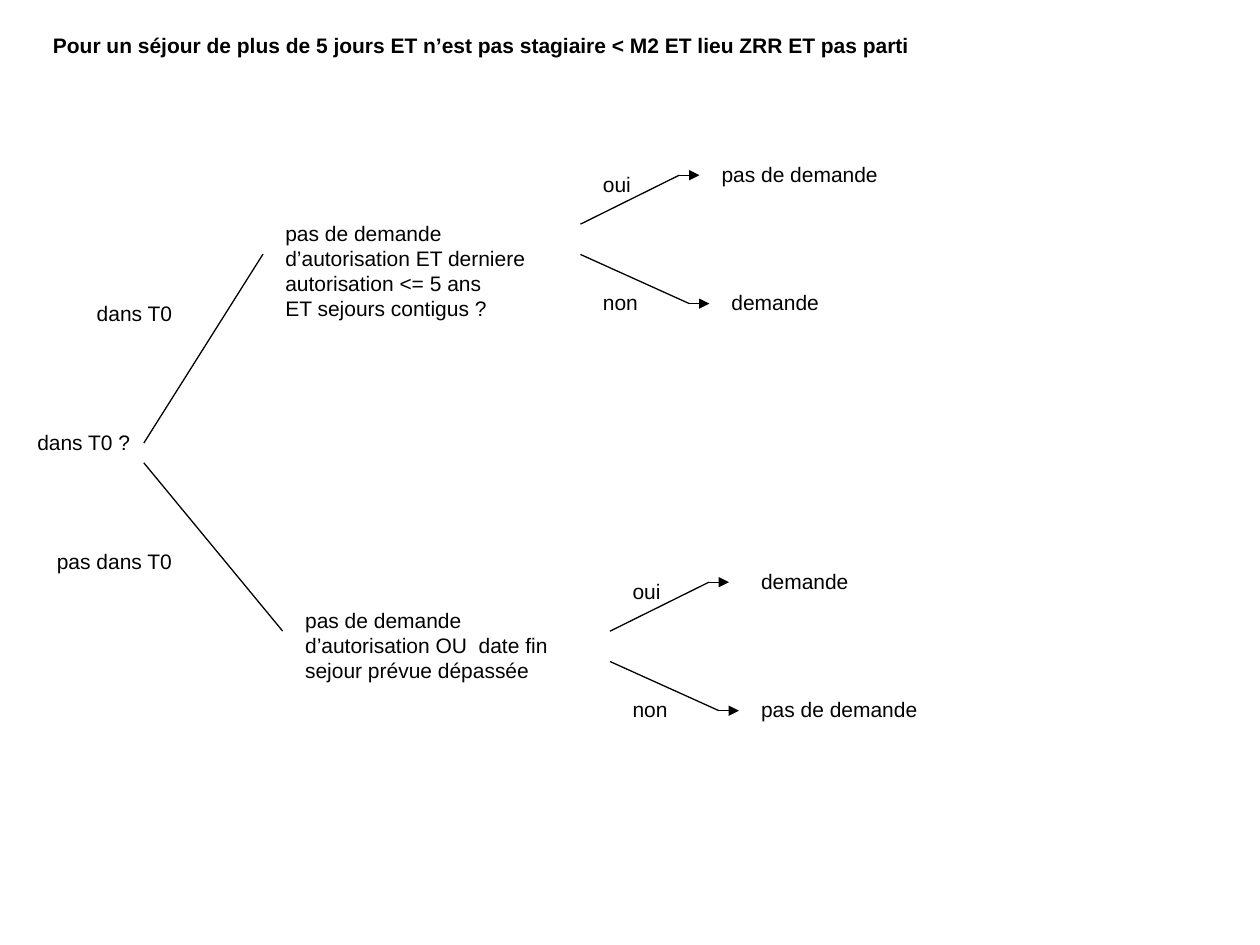
from dataclasses import dataclass

from lxml.etree import SubElement
from pptx import Presentation
from pptx.dml.color import RGBColor
from pptx.enum.shapes import MSO_CONNECTOR as CONNECTOR
from pptx.enum.text import MSO_AUTO_SIZE as AUTO, PP_ALIGN as ALIGN
from pptx.oxml.ns import qn
from pptx.util import Pt


@dataclass(frozen=True)
class Theme:
    ink: RGBColor = RGBColor(0, 0, 0)
    font: str = "Arial"
    size: float = 12
    line: float = 0.75


THEME = Theme()
LABEL_HEIGHT = 21.6
ARROW_LENGTH = 11.5


def add_label(s, text, x, y, w, h=LABEL_HEIGHT, wrap=False, bold=None, align=None):
    tf = s.shapes.add_textbox(Pt(x), Pt(y), Pt(w), Pt(h)).text_frame
    for name, value in {"word_wrap": wrap, "auto_size": AUTO.SHAPE_TO_FIT_TEXT}.items():
        setattr(tf, name, value)
    formats = {"name": THEME.font, "size": Pt(THEME.size), "bold": bold}
    for i, content in enumerate(text.split("\n")):
        p = tf.add_paragraph() if i else tf.paragraphs[0]
        p.alignment = align
        r = p.add_run()
        r.text = content
        for name, value in formats.items():
            setattr(r.font, name, value)
        r.font.color.rgb = THEME.ink


def add_line(s, start, end, arrow=False):
    sp = s.shapes.add_connector(CONNECTOR.STRAIGHT, *map(Pt, start + end))
    sp.line.width = Pt(THEME.line)
    sp.line.color.rgb = THEME.ink
    if arrow:
        SubElement(sp.line._get_or_add_ln(), qn("a:tailEnd"), type="triangle")
    SubElement(sp._element.spPr, qn("a:effectLst"))


def add_fork(s, x, y, yes, no):
    """Draw the oui and non branches of a question; yes and no are (text, dx, width)."""
    # answer, its width, start dy, bend dx, bend dy, answer dy, outcome dy, outcome
    branches = [
        ("oui", 30.2, 0, 56.5, -28, -33.8, -39.2, yes),
        ("non", 34.6, 17.3, 62.2, 45.4, 34, 34, no),
    ]
    for answer, w, start, bend_x, bend_y, answer_y, outcome_y, outcome in branches:
        bend = (x + bend_x, y + bend_y)
        add_line(s, (x, y + start), bend)
        add_line(s, bend, (bend[0] + ARROW_LENGTH, bend[1]), arrow=True)
        add_label(s, answer, x + 5.75, y + answer_y, w)
        text, dx, width = outcome
        add_label(s, text, x + dx, y + outcome_y, width)


def main():
    prs = Presentation()
    prs.slide_width, prs.slide_height = Pt(720), Pt(540)
    s = prs.slides.add_slide(prs.slide_layouts[6])

    add_label(s, "Pour un séjour de plus de 5 jours ET n’est pas stagiaire < M2 "
              "ET lieu ZRR ET pas parti", 20.2, 15.1, 509.8, bold=True, align=ALIGN.CENTER)

    add_label(s, "dans T0 ?", 14.2, 242, 68.4)
    add_line(s, (82.2, 253.2), (150.3, 145.2))
    add_line(s, (82.2, 264.5), (161.5, 360.6))
    add_label(s, "dans T0", 48.2, 168, 58.3)
    add_label(s, "pas dans T0", 25.4, 309.8, 80.6)

    add_label(s, "pas de demande d’autorisation ET derniere autorisation <= 5 ans\n"
              "ET sejours contigus ?", 156, 122.4, 175.7, 65.5, wrap=True)
    add_label(s, "pas de demande d’autorisation OU  date fin sejour prévue dépassée",
              167.3, 343.6, 175.7, 51.1, wrap=True)

    demande = ("demande", 79.2, 64.8)
    add_fork(s, 331.7, 128.1, yes=("pas de demande", 73.5, 104.4), no=demande)
    add_fork(s, 348.6, 360.7, yes=demande, no=("pas de demande", 79.2, 104.4))

    prs.save("out.pptx")


if __name__ == "__main__":
    main()
